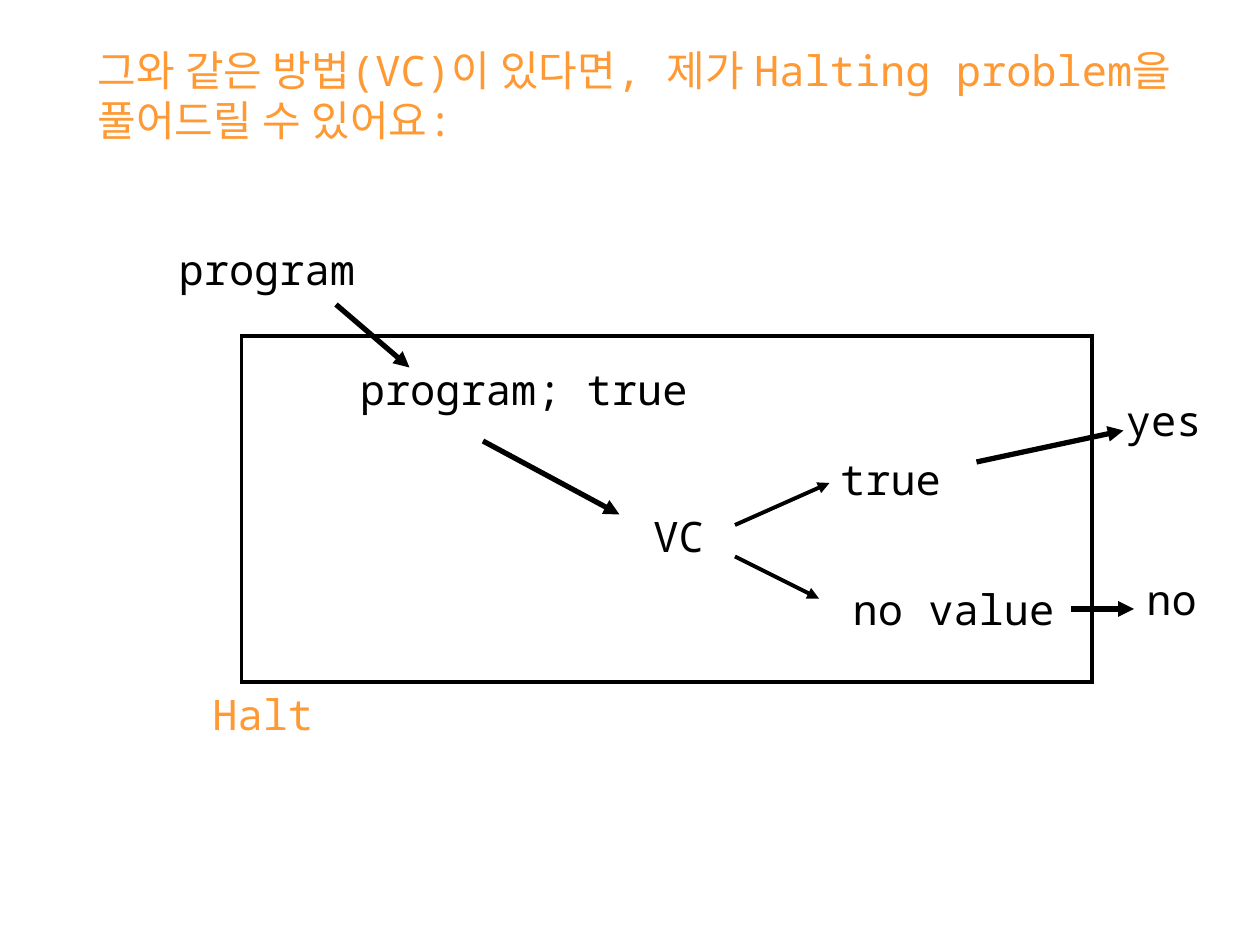
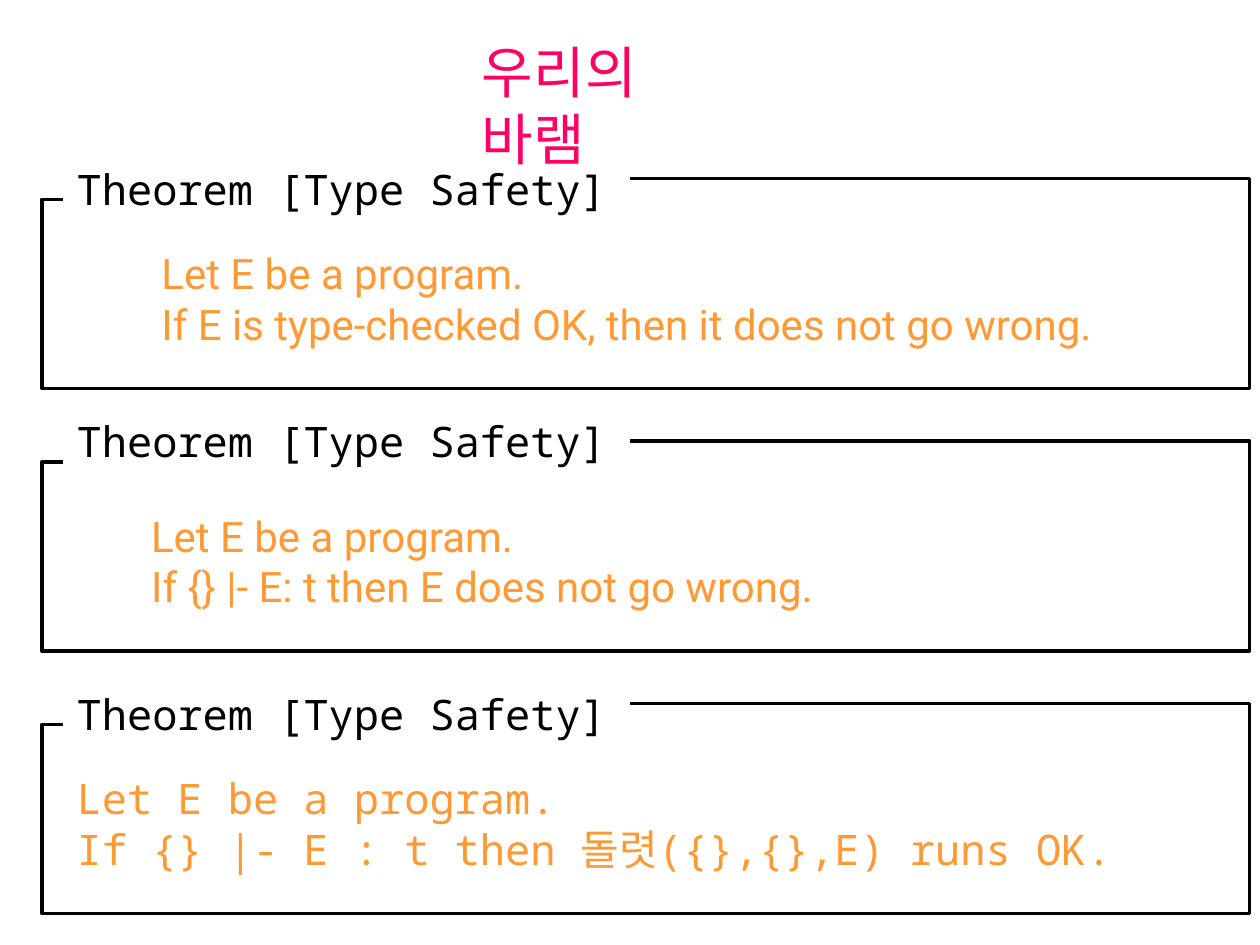
from lxml.etree import SubElement
from pptx import Presentation
from pptx.dml.color import RGBColor
from pptx.enum.shapes import MSO_CONNECTOR, MSO_SHAPE
from pptx.enum.text import MSO_AUTO_SIZE
from pptx.oxml.ns import qn
from pptx.util import Pt

COLORS = {"ink": "000000", "accent": "FF9933", "title": "FF0066"}
MONO, SANS = "Noto Sans Mono", "Roboto"
THIN, THICK = 2.25, 3

# Halting problem: text, left, top, width, colour
LABELS = [
    ("그와 같은 방법(VC)이 있다면, 제가 Halting problem을\n풀어드릴 수 있어요:",
     48.7, 21.8, 668, "accent"),
    ("program", 95, 135.4, 115.2, "ink"),
    ("program; true", 198.5, 204, 202.3, "ink"),
    ("VC", 366.3, 288, 43.2, "ink"),
    ("true", 473, 255.6, 72, "ink"),
    ("no value", 480.2, 329.8, 129.6, "ink"),
    ("yes", 636.3, 221.8, 57.6, "ink"),
    ("no", 648, 324, 43.2, "ink"),
    ("Halt", 114.3, 390.2, 72, "accent"),
]
HALT_BOX = (138, 192, 486, 198)
# from x, from y, to x, to y, width
ARROWS = [
    (192, 174, 234, 210, THICK),
    (276, 252, 354, 294, THICK),
    (420, 300, 474, 276, THIN),
    (420, 318, 468, 342, THIN),
    (558, 264, 642, 246, THICK),
    (612, 348, 648, 348, THICK),
]

# Type safety: heading rise above the frame, body, left, width, font
HEADING = "Theorem [Type Safety]"
THEOREMS = [
    (12, "Let E be a program.\n"
         "If E is type-checked OK, then it does not go wrong.", 85.2, 581, SANS),
    (18, "Let E be a program.\n"
         "If {} |- E: t then E does not go wrong.", 79.3, 427, SANS),
    (12, "Let E be a program.\n"
         "If {} |- E : t then 돌렷({},{},E) runs OK.", 36.7, 619.2, MONO),
]
FRAME_TOP, FRAME_STEP = 102, 150


def color(name):
    return RGBColor.from_string(COLORS[name])


def add_text(slide, text, left, top, width, tint, font=MONO, size=24):
    """Add unwrapped lines; Hangul and the spaces in it use the sans font."""
    lines = text.split("\n")
    height = len(lines) * size * 1.2 + 7.2
    box = slide.shapes.add_textbox(Pt(left), Pt(top), Pt(width), Pt(height))
    frame = box.text_frame
    frame.text = text
    frame.word_wrap = False
    frame.auto_size = MSO_AUTO_SIZE.SHAPE_TO_FIT_TEXT
    for para in frame.paragraphs:
        for run in para.runs:
            run.font.name = font
            run.font.size = Pt(size)
            run.font.color.rgb = color(tint)
            SubElement(run.font._element, qn("a:ea"), typeface=SANS)


def set_line(shape, width):
    shape.line.color.rgb = color("ink")
    shape.line.width = Pt(width)


def outline(shape):
    """Leave only a thin outline on a shape."""
    shape.shadow.inherit = False
    shape.fill.background()
    set_line(shape, THIN)


def add_arrow(slide, x1, y1, x2, y2, width):
    arrow = slide.shapes.add_connector(
        MSO_CONNECTOR.STRAIGHT, Pt(x1), Pt(y1), Pt(x2), Pt(y2))
    set_line(arrow, width)
    SubElement(arrow.line._get_or_add_ln(), qn("a:tailEnd"), type="triangle")
    SubElement(arrow._element.spPr, qn("a:effectLst"))


def add_frame(slide, top):
    """Draw a frame that is open at the top left, around its heading."""
    left, right, base = 24, 714, top + 120
    points = [(left, top + 12), (left, base), (right, base),
              (right, top), (360, top)]
    path = slide.shapes.build_freeform(Pt(36), Pt(top + 12))
    path.add_line_segments([(Pt(x), Pt(y)) for x, y in points], close=False)
    outline(path.convert_to_shape())


def draw_halt(slide):
    for label in LABELS:
        add_text(slide, *label)
    box = slide.shapes.add_shape(MSO_SHAPE.RECTANGLE, *map(Pt, HALT_BOX))
    outline(box)
    SubElement(box.line._get_or_add_ln(), qn("a:miter"), lim="800000")
    for arrow in ARROWS:
        add_arrow(slide, *arrow)


def draw_safety(slide):
    add_text(slide, "우리의 바램", 268.3, 18, 168.5, "title", size=32)
    for row, (rise, body, left, width, font) in enumerate(THEOREMS):
        top = FRAME_TOP + row * FRAME_STEP
        add_frame(slide, top)
        add_text(slide, HEADING, 36.7, top - rise, 317.5, "ink")
        add_text(slide, body, left, top + 36, width, "accent", font)


def main():
    deck = Presentation()
    deck.slide_width, deck.slide_height = Pt(720), Pt(540)
    for draw in (draw_halt, draw_safety):
        draw(deck.slides.add_slide(deck.slide_layouts[6]))
    deck.save("out.pptx")


if __name__ == "__main__":
    main()
